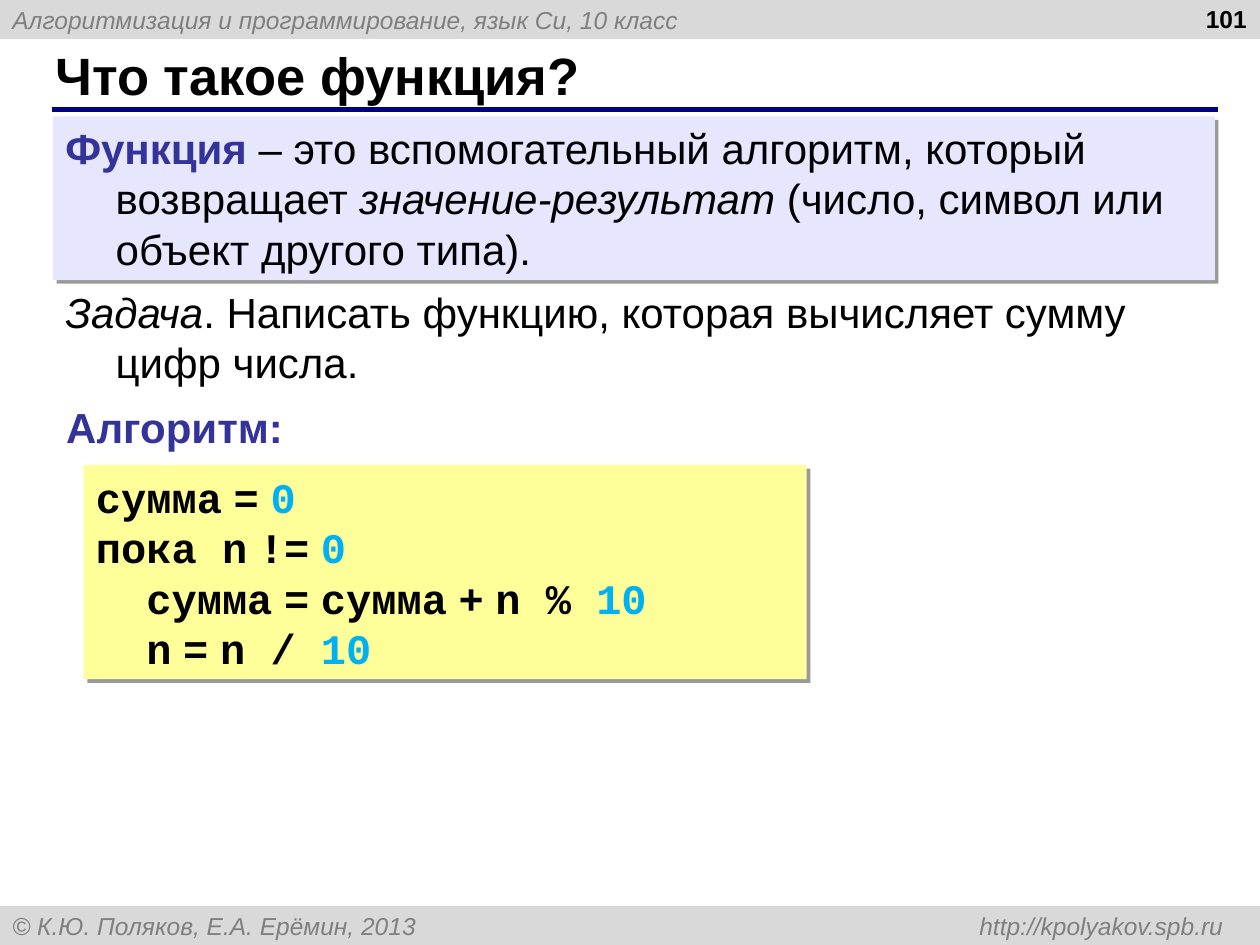
from lxml import etree
from pptx import Presentation
from pptx.dml.color import RGBColor
from pptx.enum.shapes import MSO_CONNECTOR, MSO_SHAPE
from pptx.enum.text import MSO_ANCHOR, MSO_AUTO_SIZE, PP_ALIGN
from pptx.oxml.ns import qn
from pptx.util import Pt

TOP, MIDDLE = MSO_ANCHOR.TOP, MSO_ANCHOR.MIDDLE
FIXED, GROW = MSO_AUTO_SIZE.NONE, MSO_AUTO_SIZE.SHAPE_TO_FIT_TEXT
LEFT, RIGHT = PP_ALIGN.LEFT, PP_ALIGN.RIGHT
WIDTH, HEIGHT, BAR = 720, 540, 22.32
HANG = 28.8

# Text styles: font, size, colour, bold, italic
STYLES = {
    "bar": ("Arial", 14, "7F7F7F", False, True),
    "number": ("Arial", 14, "000000", True, False),
    "title": ("Arial", 30, "000000", True, False),
    "body": ("Arial", 24, "000000", False, False),
    "italic": ("Arial", 24, "000000", False, True),
    "term": ("Arial", 24, "333399", True, False),
    "code": ("Courier New", 24, "000000", True, False),
    "digit": ("Courier New", 24, "00B0F0", True, False),
    "space": ("Arial", 24, "000000", True, False),
}

# Content: each paragraph is a list of (text, style)
GAP = (" ", "space")  # narrow space around operators
HEADER = [("Алгоритмизация и программирование, язык Си, 10 класс", "bar")]
FOOTER = [("© К.Ю. Поляков, Е.А. Ерёмин, 2013 \thttp://kpolyakov.spb.ru", "bar")]
TITLE = [("Что такое функция?", "title")]
PAGE_NUMBER = [("101", "number")]
DEFINITION = [
    ("Функция", "term"),
    (" – это вспомогательный алгоритм, который возвращает ", "body"),
    ("значение-результат", "italic"),
    (" (число, символ или объект другого типа).", "body"),
]
TASK = [
    ("Задача", "italic"),
    (". Написать функцию, которая вычисляет сумму цифр числа.", "body"),
]
ALGORITHM = [("Алгоритм:", "term")]
CODE = [
    [("сумма", "code"), GAP, ("=", "code"), GAP, ("0", "digit")],
    [("пока n", "code"), GAP, ("!=", "code"), GAP, ("0", "digit")],
    [("  сумма", "code"), GAP, ("=", "code"), GAP, ("сумма", "code"), GAP,
     ("+", "code"), GAP, ("n % ", "code"), ("10", "digit")],
    [("  n", "code"), GAP, ("=", "code"), GAP, ("n / ", "code"), ("10", "digit")],
]


def color(value):
    return RGBColor.from_string(value)


def write(box, paragraphs, anchor=TOP, align=LEFT, size=FIXED, wrap=True, hang=0, tab=None):
    frame = box.text_frame
    frame.word_wrap = wrap
    frame.auto_size = size
    frame.vertical_anchor = anchor
    for index, spans in enumerate(paragraphs):
        para = frame.add_paragraph() if index else frame.paragraphs[0]
        para.alignment = align
        properties = para._p.get_or_add_pPr()
        if hang:
            properties.set("marL", str(Pt(hang)))
            properties.set("indent", str(-Pt(hang)))
        if tab:
            tabs = etree.SubElement(properties, qn("a:tabLst"))
            etree.SubElement(tabs, qn("a:tab"), pos=str(Pt(tab)), algn="r")
        for text, style in spans:
            span = para.add_run()
            span.text = text
            font = span.font
            font.name, points, value, font.bold, font.italic = STYLES[style]
            font.size = Pt(points)
            font.color.rgb = color(value)


def add_panel(page, left, top, width, height, fill, shadow=False):
    box = page.shapes.add_shape(
        MSO_SHAPE.RECTANGLE, Pt(left), Pt(top), Pt(width), Pt(height))
    box.fill.solid()
    box.fill.fore_color.rgb = color(fill)
    box.line.fill.background()
    box.shadow.inherit = False
    if shadow:
        effects = box._element.spPr.find(qn("a:effectLst"))
        outer = etree.SubElement(effects, qn("a:outerShdw"), blurRad="0",
                                 dist=str(Pt(3)), dir="2700000", algn="tl",
                                 rotWithShape="0")
        black = etree.SubElement(outer, qn("a:srgbClr"), val="000000")
        etree.SubElement(black, qn("a:alpha"), val="40000")
    return box


def add_text(page, left, top, width, height):
    return page.shapes.add_textbox(Pt(left), Pt(top), Pt(width), Pt(height))


def main():
    deck = Presentation()
    deck.slide_width, deck.slide_height = Pt(WIDTH), Pt(HEIGHT)
    page = deck.slides.add_slide(deck.slide_layouts[5])

    # Header and footer bars
    write(add_panel(page, 0, 0, WIDTH, BAR, "D9D9D9"), [HEADER], MIDDLE)
    write(add_panel(page, 0, HEIGHT - BAR, WIDTH, BAR, "D9D9D9"), [FOOTER],
          MIDDLE, tab=692)
    write(add_text(page, 551.5, -1.5, 168, 37.5), [PAGE_NUMBER], align=RIGHT)

    # Title and its rule
    title = page.shapes.title
    title.left, title.top, title.width, title.height = Pt(24.5), Pt(23.75), Pt(659.5), Pt(37.5)
    write(title, [TITLE], MIDDLE)
    rule = page.shapes.add_connector(
        MSO_CONNECTOR.STRAIGHT, Pt(29.5), Pt(62.5), Pt(696), Pt(62.5))
    rule.line.color.rgb = color("000080")
    rule.line.width = Pt(3)
    etree.SubElement(rule._element.spPr, qn("a:effectLst"))

    # Definition and task
    write(add_panel(page, 30.25, 66.5, 664, 93.6, "E6E6FF", shadow=True),
          [DEFINITION], size=GROW, hang=HANG)
    write(add_text(page, 30.25, 160, 667.5, 64.8), [TASK], size=GROW, hang=HANG)

    # Algorithm
    write(add_text(page, 30.75, 226, 138.25, 36), [ALGORITHM], size=GROW, wrap=False)
    write(add_panel(page, 47.75, 265.75, 413.25, 122.4, "FFFF99", shadow=True),
          CODE, MIDDLE, size=GROW)

    deck.save("out.pptx")


if __name__ == "__main__":
    main()
